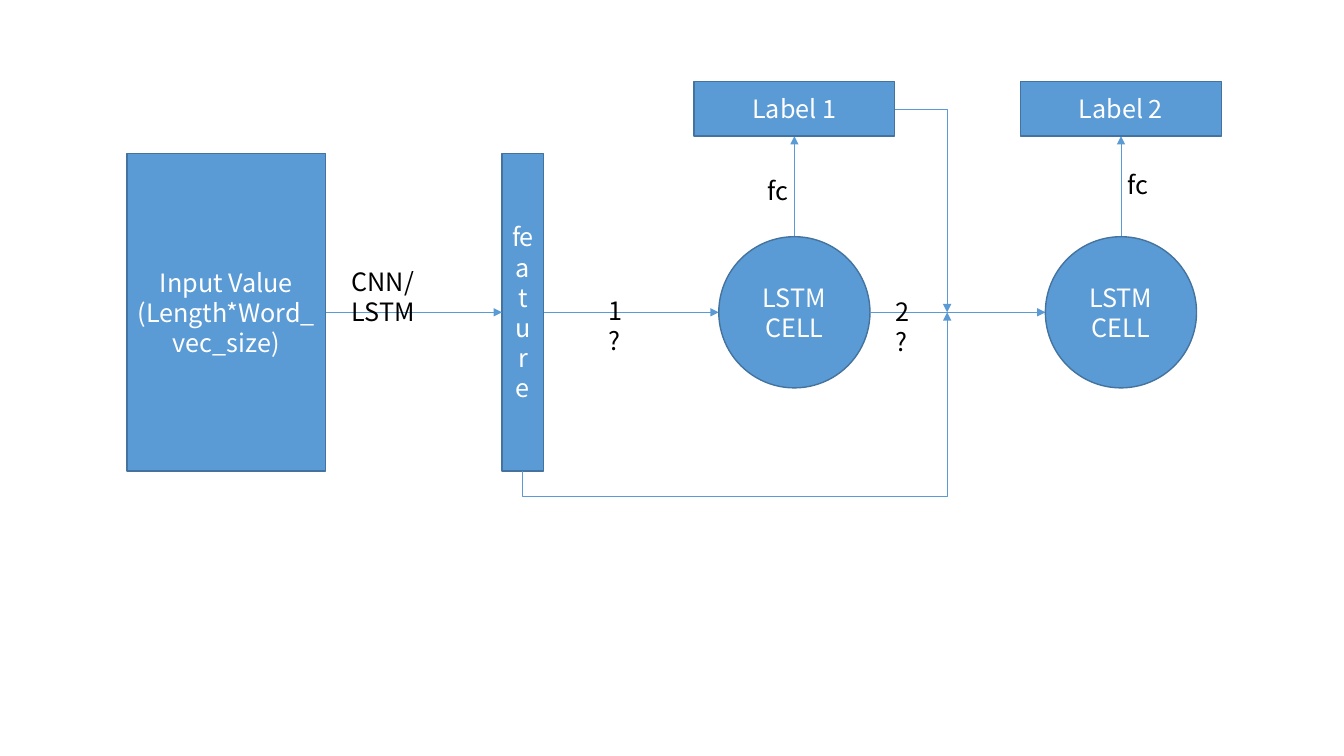
from lxml import etree
from pptx import Presentation
from pptx.dml.color import RGBColor
from pptx.enum.shapes import MSO_CONNECTOR, MSO_SHAPE
from pptx.enum.text import MSO_ANCHOR, MSO_AUTO_SIZE, PP_ALIGN
from pptx.oxml.ns import qn
from pptx.util import Cm, Pt

RECTANGLE, OVAL = MSO_SHAPE.RECTANGLE, MSO_SHAPE.OVAL
STRAIGHT, ELBOW = MSO_CONNECTOR.STRAIGHT, MSO_CONNECTOR.ELBOW
LEFT, CENTER = PP_ALIGN.LEFT, PP_ALIGN.CENTER
TOP, MIDDLE = MSO_ANCHOR.TOP, MSO_ANCHOR.MIDDLE
GROW = MSO_AUTO_SIZE.SHAPE_TO_FIT_TEXT

BLUE = RGBColor(0x5B, 0x9B, 0xD5)
EDGE = RGBColor(0x43, 0x73, 0x9E)
WHITE = RGBColor(0xFF, 0xFF, 0xFF)
BLACK = RGBColor(0, 0, 0)
FONT = "Noto Sans CJK SC"

# All lengths in centimetres
INPUT_LINES = ["Input Value", "(Length*Word_vec_size)"]
CELL_LINES = ["LSTM", "CELL"]
STEPS = [("Label 1", 20.02), ("Label 2", 28.25)]  # label, centre x
NOTES = [  # text, left, top, width
    ("CNN/LSTM", 8.61, 6.58, 3.58),
    ("1?", 15.09, 7.32, 1.07),
    ("2?", 22.33, 7.34, 1.07),
    ("fc", 19.1, 4.29, 1.17),
    ("fc", 28.17, 4.14, 1.17),
]
AXIS = 7.87
BLOCK_HEIGHT = 8.0
INPUT_LEFT, INPUT_WIDTH = 3.2, 5.01
FEATURE_LEFT, FEATURE_WIDTH = 12.65, 1.05
CELL_SIZE = 3.81
LABEL_TOP, LABEL_WIDTH, LABEL_HEIGHT = 2.06, 5.06, 1.37
MERGE_X = 23.87
LOOP_DROP = 0.63


def write_text(shape, lines, color=WHITE, align=CENTER, anchor=MIDDLE, size=18):
    """Fill a shape with one paragraph per line."""
    frame = shape.text_frame
    frame.word_wrap = True
    frame.vertical_anchor = anchor
    for index, line in enumerate(lines):
        para = frame.paragraphs[0] if index == 0 else frame.add_paragraph()
        para.alignment = align
        span = para.add_run()
        span.text = line
        span.font.name = FONT
        span.font.size = Pt(size)
        span.font.color.rgb = color


def add_node(page, kind, lines, center_x, center_y, width, height):
    """Add a blue shape centred on a point."""
    node = page.shapes.add_shape(kind, Cm(center_x - width / 2),
                                 Cm(center_y - height / 2), Cm(width), Cm(height))
    node.shadow.inherit = False
    node.fill.solid()
    node.fill.fore_color.rgb = BLUE
    node.line.color.rgb = EDGE
    node.line.width = Pt(1)
    write_text(node, lines)


def add_arrow(page, start, end, kind=STRAIGHT):
    """Add a thin blue arrow between two points."""
    arrow = page.shapes.add_connector(kind, *(Cm(value) for value in start + end))
    arrow.line.color.rgb = BLUE
    arrow.line.width = Pt(0.5)
    etree.SubElement(arrow.line._get_or_add_ln(), qn("a:tailEnd"), type="triangle")
    etree.SubElement(arrow._element.spPr, qn("a:effectLst"))
    return arrow


def set_bend(arrow, preset, **adjustments):
    """Choose the bent connector preset and its adjustments."""
    geometry = arrow._element.spPr.find(qn("a:prstGeom"))
    geometry.set("prst", preset)
    guides = geometry.find(qn("a:avLst"))
    for name, value in adjustments.items():
        etree.SubElement(guides, qn("a:gd"), name=name, fmla=f"val {value}")


def add_feature_loop(page, start, end):
    """Lead the feature down, right and up to the merge point."""
    across, rise = end[0] - start[0], start[1] - end[1]
    middle_x, middle_y = (start[0] + end[0]) / 2, (start[1] + end[1]) / 2
    left, top = middle_x - rise / 2, middle_y - across / 2
    loop = add_arrow(page, (left, top), (left + rise, top + across), ELBOW)
    transform = loop._element.spPr.find(qn("a:xfrm"))
    for name, value in (("rot", "5400000"), ("flipH", "1"), ("flipV", "1")):
        transform.set(name, value)
    set_bend(loop, "bentConnector4", adj1=round(-LOOP_DROP / rise * 100000), adj2=100000)


deck = Presentation()
deck.slide_width, deck.slide_height = Cm(33.87), Cm(19.05)
page = deck.slides.add_slide(deck.slide_layouts[6])

feature_x = FEATURE_LEFT + FEATURE_WIDTH / 2
feature_right = FEATURE_LEFT + FEATURE_WIDTH
add_node(page, RECTANGLE, INPUT_LINES, INPUT_LEFT + INPUT_WIDTH / 2, AXIS,
         INPUT_WIDTH, BLOCK_HEIGHT)
add_node(page, RECTANGLE, ["feature"], feature_x, AXIS, FEATURE_WIDTH, BLOCK_HEIGHT)
add_arrow(page, (INPUT_LEFT + INPUT_WIDTH, AXIS), (FEATURE_LEFT, AXIS))

radius = CELL_SIZE / 2
label_y = LABEL_TOP + LABEL_HEIGHT / 2
previous_right = feature_right
for label, center_x in STEPS:
    add_arrow(page, (previous_right, AXIS), (center_x - radius, AXIS))
    add_arrow(page, (center_x, AXIS - radius), (center_x, LABEL_TOP + LABEL_HEIGHT))
    add_node(page, OVAL, CELL_LINES, center_x, AXIS, CELL_SIZE, CELL_SIZE)
    add_node(page, RECTANGLE, [label], center_x, label_y, LABEL_WIDTH, LABEL_HEIGHT)
    previous_right = center_x + radius

add_feature_loop(page, (feature_x, AXIS + BLOCK_HEIGHT / 2), (MERGE_X, AXIS))
label_right = STEPS[0][1] + LABEL_WIDTH / 2
feedback = add_arrow(page, (label_right, label_y), (MERGE_X, AXIS), ELBOW)
set_bend(feedback, "bentConnector2")

for text, left, top, width in NOTES:
    box = page.shapes.add_textbox(Cm(left), Cm(top), Cm(width), Cm(1.03))
    write_text(box, [text], color=BLACK, align=LEFT, anchor=TOP)
    box.text_frame.auto_size = GROW

deck.save("out.pptx")
